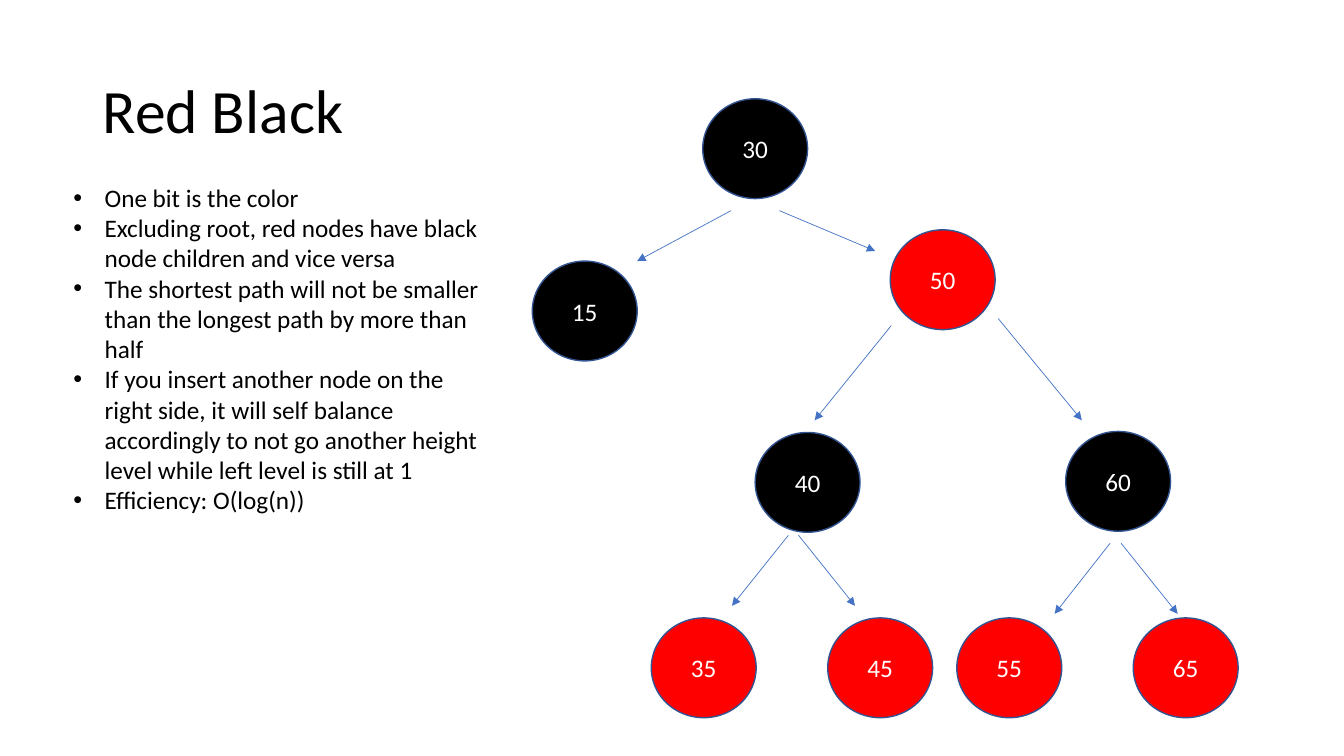
from lxml import etree
from pptx import Presentation
from pptx.dml.color import RGBColor
from pptx.enum.shapes import MSO_CONNECTOR, MSO_SHAPE
from pptx.enum.text import MSO_ANCHOR, PP_ALIGN
from pptx.oxml.ns import qn
from pptx.util import Inches, Pt

TITLE = "Red Black"
POINTS = [
    "One bit is the color",
    "Excluding root, red nodes have black node children and vice versa",
    "The shortest path will not be smaller than the longest path by more than half",
    "If you insert another node on the right side, it will self balance accordingly "
    "to not go another height level while left level is still at 1",
    "Efficiency: O(log(n))",
]
NODES = [
    ("30", "black", 6.97, 0.98),
    ("50", "red", 8.83, 2.28),
    ("15", "black", 5.28, 2.59),
    ("40", "black", 7.49, 4.29),
    ("60", "black", 10.57, 4.28),
    ("35", "red", 6.46, 6.13),
    ("45", "red", 8.21, 6.13),
    ("55", "red", 9.49, 6.13),
    ("65", "red", 11.24, 6.13),
]
ARROWS = [
    ((7.25, 2.09), (6.32, 2.59)),
    ((7.73, 2.09), (8.68, 2.49)),
    ((8.84, 3.23), (8.08, 4.17)),
    ((9.9, 3.16), (10.73, 4.17)),
    ((7.82, 5.31), (7.26, 6.01)),
    ((7.92, 5.31), (8.48, 6.01)),
    ((11.01, 5.39), (10.46, 6.09)),
    ((11.12, 5.39), (11.68, 6.09)),
]
COLORS = {"black": "000000", "red": "FF0000", "white": "FFFFFF",
          "outline": "325491", "arrow": "4472C4"}
NODE_WIDTH, NODE_HEIGHT = 1.04, 0.99
BULLET_INDENT = Inches(0.31)


def color(name):
    return RGBColor.from_string(COLORS[name])


def write(paragraph, text, size, color_name):
    paragraph.text = text
    paragraph.font.name = "Calibri"
    paragraph.font.size = Pt(size)
    paragraph.font.color.rgb = color(color_name)


def add_text_frame(slide, left, top, width, height):
    box = slide.shapes.add_textbox(*map(Inches, (left, top, width, height)))
    box.text_frame.word_wrap = True
    return box.text_frame


def add_title(slide):
    frame = add_text_frame(slide, 0.92, 0.4, 11.5, 1.45)
    frame.vertical_anchor = MSO_ANCHOR.MIDDLE
    paragraph = frame.paragraphs[0]
    write(paragraph, TITLE, 44, "black")
    paragraph.line_spacing = 0.9


def add_points(slide):
    frame = add_text_frame(slide, 0.63, 1.76, 4.36, 3.43)
    for index, point in enumerate(POINTS):
        paragraph = frame.add_paragraph() if index else frame.paragraphs[0]
        write(paragraph, point, 18, "black")
        properties = paragraph._p.get_or_add_pPr()
        properties.set("marL", str(BULLET_INDENT))
        properties.set("indent", str(-BULLET_INDENT))
        bullet_font = etree.Element(qn("a:buFont"), typeface="Arial")
        bullet = etree.Element(qn("a:buChar"), char="•")
        properties.insert(0, bullet_font)
        properties.insert(1, bullet)


def add_node(slide, key, fill, left, top):
    node = slide.shapes.add_shape(
        MSO_SHAPE.OVAL, *map(Inches, (left, top, NODE_WIDTH, NODE_HEIGHT)))
    node.shadow.inherit = False
    node.fill.solid()
    node.fill.fore_color.rgb = color(fill)
    node.line.color.rgb = color("outline")
    node.line.width = Pt(1)
    node.text_frame.vertical_anchor = MSO_ANCHOR.MIDDLE
    paragraph = node.text_frame.paragraphs[0]
    write(paragraph, key, 18, "white")
    paragraph.alignment = PP_ALIGN.CENTER


def add_arrow(slide, start, end):
    arrow = slide.shapes.add_connector(
        MSO_CONNECTOR.STRAIGHT, *map(Inches, start + end))
    arrow.line.color.rgb = color("arrow")
    arrow.line.width = Pt(0.5)
    etree.SubElement(arrow.line._get_or_add_ln(), qn("a:tailEnd"), type="triangle")
    etree.SubElement(arrow._element.spPr, qn("a:effectLst"))


def main():
    presentation = Presentation()
    presentation.slide_width = Inches(13.33)
    presentation.slide_height = Inches(7.5)
    slide = presentation.slides.add_slide(presentation.slide_layouts[6])
    add_title(slide)
    for node in NODES:
        add_node(slide, *node)
    for start, end in ARROWS:
        add_arrow(slide, start, end)
    add_points(slide)
    presentation.save("out.pptx")


if __name__ == "__main__":
    main()
